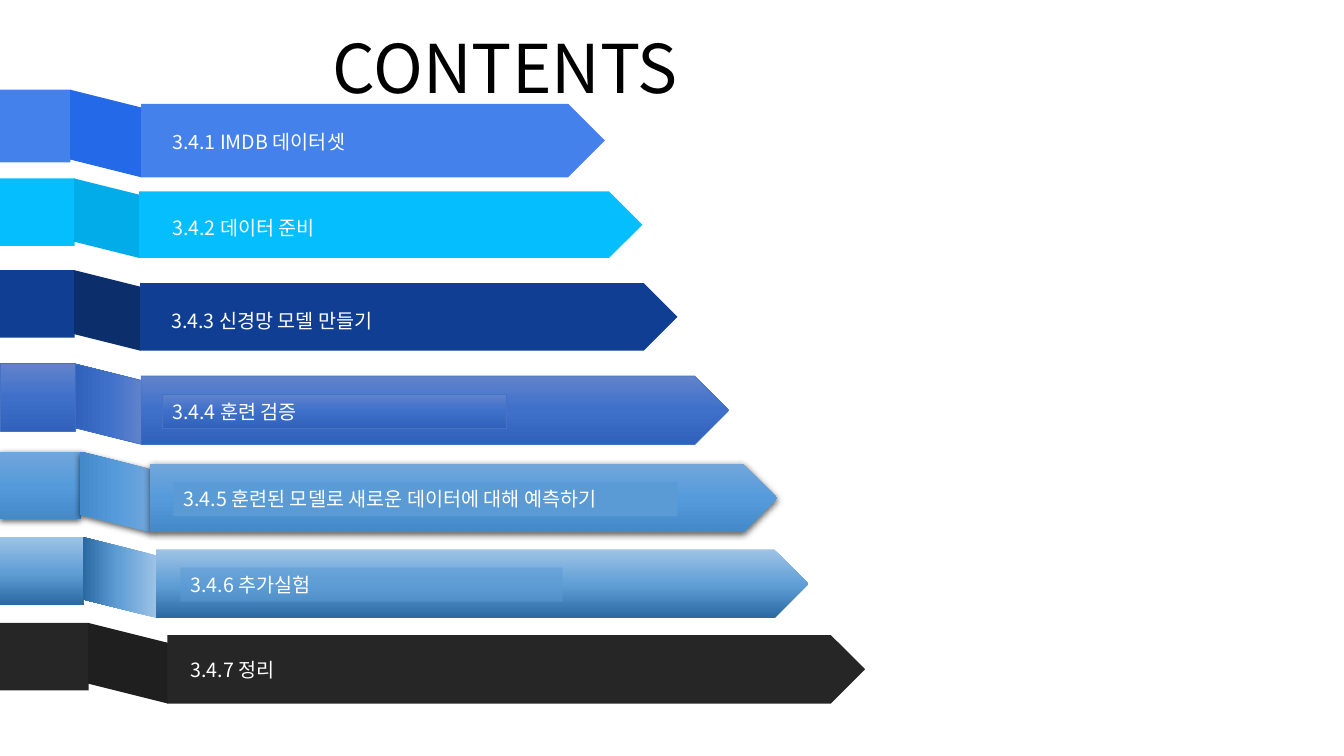
from lxml.etree import SubElement as Sub
from pptx import Presentation
from pptx.dml.color import RGBColor as Rgb
from pptx.enum.shapes import MSO_SHAPE as Kind
from pptx.enum.text import MSO_ANCHOR as Anchor, MSO_AUTO_SIZE as Auto, PP_ALIGN as Align
from pptx.oxml.ns import qn
from pptx.util import Inches, Pt

TITLE = "CONTENTS"
# text, tab (top, width, height), arrow (left, top, width, height), label (left, top, width), style
ROWS = [
    ("3.4.1 IMDB 데이터셋", (0.89, 0.7, 0.72), (1.4, 1.03, 4.6, 0.73), (1.61, 1.24, 2.62), "blue"),
    ("3.4.2 데이터 준비", (1.77, 0.74, 0.67), (1.38, 1.9, 4.99, 0.66), (1.61, 2.09, 2.94), "cyan"),
    ("3.4.3 신경망 모델 만들기", (2.68, 0.74, 0.67), (1.39, 2.81, 5.33, 0.67), (1.6, 3.01, 3.38), "navy"),
    ("3.4.4 훈련 검증", (3.61, 0.75, 0.67), (1.4, 3.73, 5.83, 0.68), (1.61, 3.91, 3.41), "royal"),
    ("3.4.5 훈련된 모델로 새로운 데이터에 대해 예측하기",
     (4.48, 0.8, 0.67), (1.49, 4.6, 6.22, 0.68), (1.72, 4.78, 5), "sky"),
    ("3.4.6 추가실험", (5.33, 0.83, 0.67), (1.55, 5.45, 6.47, 0.68), (1.79, 5.63, 3.79), "steel"),
    ("3.4.7 정리", (6.18, 0.88, 0.67), (1.66, 6.3, 6.92, 0.68), (1.79, 6.47, 4.05), "black"),
]

ROYAL = [(0, "6183CB"), (50, "3E70CA"), (100, "3062BB")]
SKY = [(0, "71A6DB"), (50, "559BDB"), (100, "448ACA")]
STEEL = [(0, "9DC3E6"), (52, "609ED6"), (100, "2A69A2")]
THEME = {
    "font": "Noto Sans CJK KR",
    "title": {"size": Pt(48), "color": "000000"},
    "label": {"size": Pt(14), "color": "FFFFFF"},
    "label_h": 0.34,
    "styles": {
        "blue": {"main": "4481EB", "fold": "246AE8"},
        "cyan": {"main": "04BEFE", "fold": "01ACE9"},
        "navy": {"main": "103E92", "fold": "0C2E6A"},
        "royal": {"main": ROYAL, "fold": ROYAL, "label": ROYAL, "line": "4472C4"},
        "sky": {"main": SKY, "fold": SKY, "label": "5B9BD5", "shadow": True},
        "steel": {"main": STEEL, "fold": STEEL, "label": "5B9BD5", "alpha": 50},
        "black": {"main": "262626", "fold": "1F1F1F"},
    },
}


def paint(shape, fill, alpha=None):
    """Fill with one colour, or from top to bottom with a list of stops."""
    if isinstance(fill, str):
        shape.fill.solid()
        shape.fill.fore_color.rgb = Rgb.from_string(fill)
        if alpha:
            color = shape.fill._xPr.find(".//" + qn("a:srgbClr"))
            Sub(color, qn("a:alpha"), val=str(alpha * 1000))
        return
    shape.fill.gradient()
    shape.fill.gradient_angle = 270
    stops = shape.fill._xPr.find(".//" + qn("a:gsLst"))
    stops.clear()
    for place, color in fill:
        stop = Sub(stops, qn("a:gs"), pos=str(place * 1000))
        Sub(stop, qn("a:srgbClr"), val=color)


def edge(shape, color):
    if color:
        shape.line.color.rgb = Rgb.from_string(color)
        shape.line.width = Pt(0.5)
    else:
        shape.line.fill.background()


def shade(shape):
    effects = shape._element.spPr.find(qn("a:effectLst"))
    drop = Sub(effects, qn("a:outerShdw"), blurRad=str(Pt(4.5)), dist=str(Pt(1.5)),
               dir="5400000", algn="ctr", rotWithShape="0")
    color = Sub(drop, qn("a:srgbClr"), val="000000")
    Sub(color, qn("a:alpha"), val="63000")


def write(shape, text, look, align):
    frame = shape.text_frame
    form = {"word_wrap": True, "auto_size": Auto.NONE, "vertical_anchor": Anchor.MIDDLE}
    for name, value in form.items():
        setattr(frame, name, value)
    para = frame.paragraphs[0]
    para.alignment = align
    run = para.add_run()
    run.text = text
    for name, value in {"size": look["size"], "name": THEME["font"]}.items():
        setattr(run.font, name, value)
    run.font.color.rgb = Rgb.from_string(look["color"])
    Sub(run._r.get_or_add_rPr(), qn("a:ea"), typeface=THEME["font"])


def ribbon(slide, text, tab, arrow, label, style):
    """Draw a tab at the slide's edge, a fold that joins it to the arrow, and a label."""
    look = THEME["styles"][style]
    top, wide, high = tab
    left, arrow_top, _, arrow_h = arrow
    # The fold is turned a quarter, so its length runs down the slide.
    length, depth = arrow_top + arrow_h - top, left - wide + 0.01
    mid_x, mid_y = (wide + left) / 2, top + length / 2
    fold = (mid_x - length / 2, mid_y - depth / 2, length, depth)
    parts = [
        (Kind.RECTANGLE, (0, top, wide, high), "main", 0),
        (Kind.PARALLELOGRAM, fold, "fold", 90),
        (Kind.PENTAGON, arrow, "main", 0),
    ]
    group = slide.shapes.add_group_shape().shapes
    for kind, box, key, turn in parts:
        shape = group.add_shape(kind, *map(Inches, box))
        shape.rotation = turn
        shape.shadow.inherit = False
        paint(shape, look[key])
        edge(shape, look.get("line"))
        if look.get("shadow"):
            shade(shape)
    note = group.add_textbox(*map(Inches, (*label, THEME["label_h"])))
    if "label" in look:
        paint(note, look["label"], look.get("alpha"))
        edge(note, look.get("line"))
    write(note, text, THEME["label"], Align.LEFT)


def main():
    deck = Presentation()
    deck.slide_width, deck.slide_height = Inches(13.33), Inches(7.5)
    slide = deck.slides.add_slide(deck.slide_layouts[5])
    title = slide.shapes.title
    place = {"left": 0.72, "top": 0.21, "width": 8.58, "height": 0.91}
    for name, value in place.items():
        setattr(title, name, Inches(value))
    write(title, TITLE, THEME["title"], Align.CENTER)
    for row in ROWS:
        ribbon(slide, *row)
    deck.save("out.pptx")


if __name__ == "__main__":
    main()
